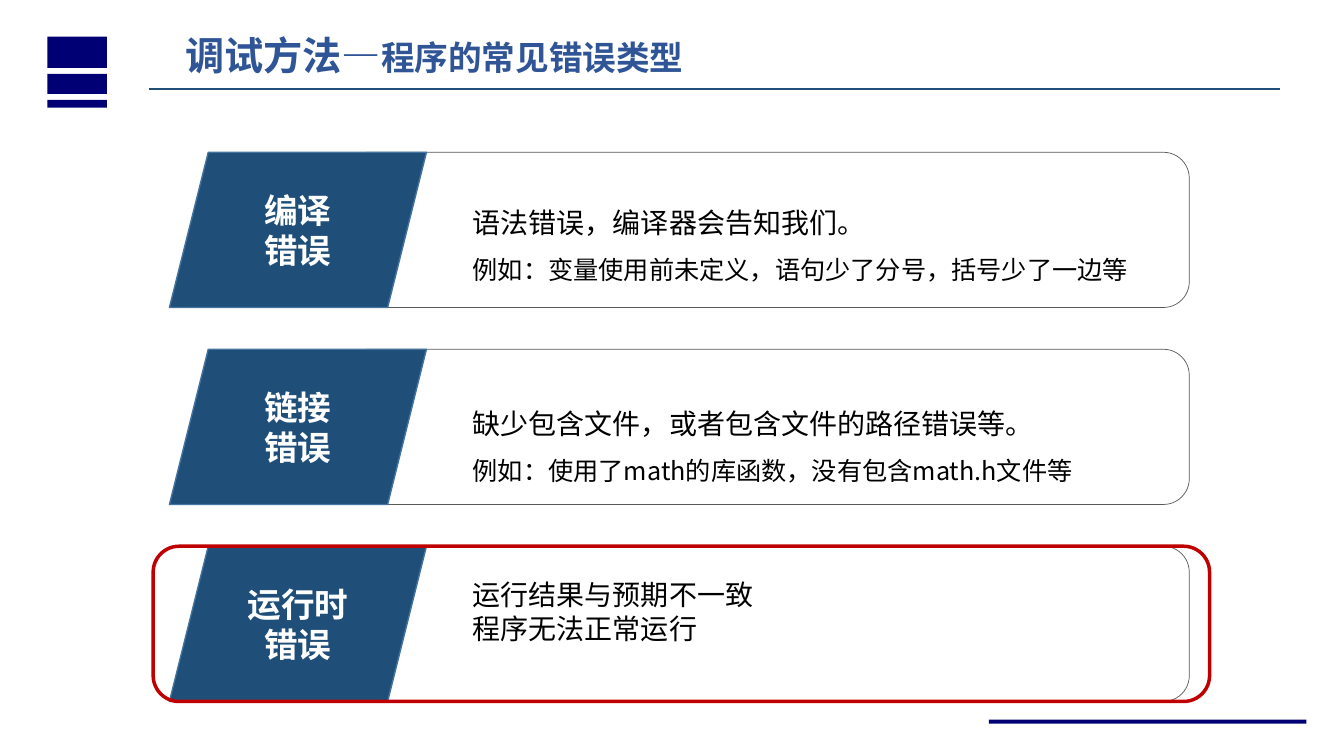
"""Builds the slide on common types of program errors."""
import pptx
import pptx.util
import pptx.dml.color
import pptx.enum.shapes
import pptx.enum.text
import pptx.oxml.ns
from lxml import etree

Pt = pptx.util.Pt
PRESET = pptx.enum.shapes.MSO_SHAPE
ANCHOR = pptx.enum.text.MSO_ANCHOR
ALIGN = pptx.enum.text.PP_ALIGN
FIT = pptx.enum.text.MSO_AUTO_SIZE
qn = pptx.oxml.ns.qn

FONT = "Noto Sans CJK SC"
COLORS = {"navy": "000074", "title": "2F5597", "label": "1F4E79", "label_edge": "43739E",
          "panel_edge": "595959", "highlight": "C00000", "body": "000000", "white": "FFFFFF"}

TITLE = [("调试方法—", 28), ("程序的常见错误类型", 24)]
ERRORS = [
    {"label": ["编译", "错误"], "box": (26, 501, 65.5),
     "details": [("语法错误，编译器会告知我们。", 20, 1.5),
                 ("例如：变量使用前未定义，语句少了分号，括号少了一边等", 18, 1.5)]},
    {"label": ["链接", "错误"], "box": (41, 476, 81.4),
     "details": [("缺少包含文件，或者包含文件的路径错误等。", 20, None),
                 ("例如：使用了math的库函数，没有包含math.h文件等", 18, 1.5)]},
    {"label": ["运行时", "错误"], "box": (22.3, 476, 48.2),
     "details": [("运行结果与预期不一致", 20, None), ("程序无法正常运行", 20, None)]},
]
NAVY_BARS = [(33.8, 26.1, 42.5, 22.4), (33.8, 52.8, 42.5, 14.2),
             (33.8, 71.3, 42.5, 5.6), (706.3, 514, 226.8, 2.9)]
ROW_TOP, ROW_PITCH, ROW_HEIGHT = 108.8, 140.7, 110.9


def rgb(name):
    return pptx.dml.color.RGBColor.from_string(COLORS[name])


def add_preset(shapes, preset, frame, fill=None, edge=None, width=1):
    shape = shapes.add_shape(preset, *map(Pt, frame))
    shape.shadow.inherit = False
    if fill:
        shape.fill.solid()
        shape.fill.fore_color.rgb = rgb(fill)
    else:
        shape.fill.background()
    if edge:
        shape.line.color.rgb = rgb(edge)
        shape.line.width = Pt(width)
    else:
        shape.line.fill.background()
    return shape


def add_run(paragraph, text, size, color, bold=False):
    run = paragraph.add_run()
    run.text = text
    formats = {"name": FONT, "size": Pt(size), "bold": bold}
    for attribute, value in formats.items():
        setattr(run.font, attribute, value)
    run.font.color.rgb = rgb(color)
    etree.SubElement(run.font._element, qn("a:ea")).set("typeface", FONT)


def add_text_box(shapes, frame, formats):
    text_frame = shapes.add_textbox(*map(Pt, frame)).text_frame
    for attribute, value in formats.items():
        setattr(text_frame, attribute, value)
    return text_frame


def next_paragraph(text_frame, index):
    return text_frame.add_paragraph() if index else text_frame.paragraphs[0]


deck = pptx.Presentation()
deck.slide_width, deck.slide_height = Pt(960), Pt(540)
slide = deck.slides.add_slide(deck.slide_layouts[6])

for bar in NAVY_BARS:
    add_preset(slide.shapes, PRESET.RECTANGLE, bar, "navy")

GROWING = {"word_wrap": True, "auto_size": FIT.SHAPE_TO_FIT_TEXT}
MARGINLESS = dict.fromkeys(["margin_left", "margin_top", "margin_right", "margin_bottom"], 0)

title = add_text_box(slide.shapes, (125.3, 18.7, 409.7, 41), GROWING)
for text, size in TITLE:
    add_run(title.paragraphs[0], text, size, "title", True)

for row, error in enumerate(ERRORS):
    top = ROW_TOP + row * ROW_PITCH
    group = slide.shapes.add_group_shape().shapes
    add_preset(group, PRESET.ROUNDED_RECTANGLE, (244, top, 605.5, ROW_HEIGHT),
               edge="panel_edge", width=0.5)

    offset, width, height = error["box"]
    details = add_text_box(group, (337.7, top + offset, width, height), GROWING | MARGINLESS)
    for index, (text, size, spacing) in enumerate(error["details"]):
        paragraph = next_paragraph(details, index)
        paragraph.line_spacing = spacing
        add_run(paragraph, text, size, "body")

    label = add_preset(group, PRESET.PARALLELOGRAM, (121, top, 183.6, ROW_HEIGHT),
                       "label", "label_edge").text_frame
    label.vertical_anchor = ANCHOR.MIDDLE
    for index, text in enumerate(error["label"]):
        paragraph = next_paragraph(label, index)
        paragraph.alignment = ALIGN.CENTER
        add_run(paragraph, text, 24, "white", True)

add_preset(slide.shapes, PRESET.ROUNDED_RECTANGLE,
           (109.4, ROW_TOP + 2 * ROW_PITCH, 754.6, ROW_HEIGHT), edge="highlight", width=2.5)

title_rule = slide.shapes.add_connector(
    pptx.enum.shapes.MSO_CONNECTOR.STRAIGHT, *map(Pt, (106.6, 63.4, 914.4, 63.4)))
title_rule.line.color.rgb = rgb("label")
title_rule.line.width = Pt(1.25)
etree.SubElement(title_rule._element.spPr, qn("a:effectLst"))

deck.save("out.pptx")
